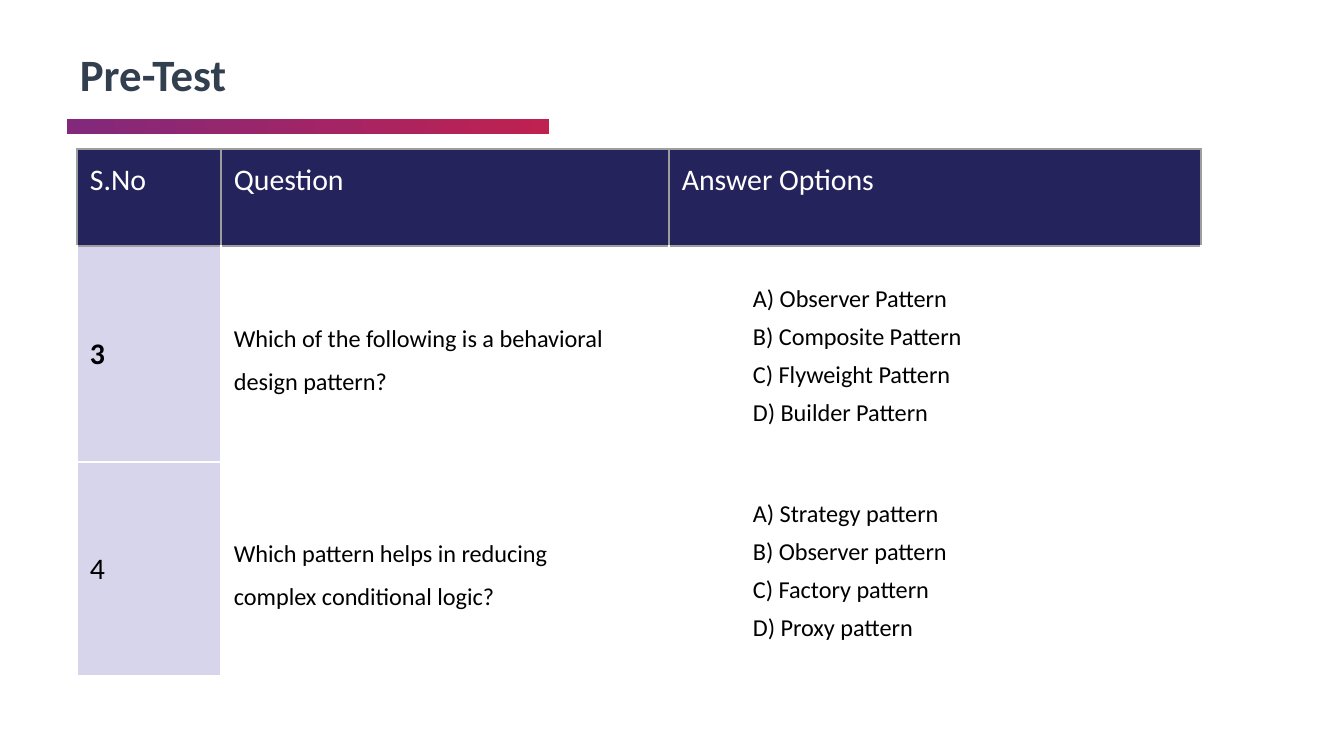
from lxml.etree import SubElement
from pptx import Presentation
from pptx.dml.color import RGBColor
from pptx.enum.shapes import MSO_SHAPE as Shape
from pptx.enum.text import MSO_ANCHOR as Anchor
from pptx.oxml.ns import qn
from pptx.util import Emu, Pt

# Content
TITLE = "Pre-Test"
HEADERS = ["S.No", "Question", "Answer Options"]
QUESTIONS = [
    ("3", "Which of the following is a behavioral design pattern?",
     ["A) Observer Pattern", "B) Composite Pattern", "C) Flyweight Pattern", "D) Builder Pattern"]),
    ("4", "Which pattern helps in reducing complex conditional logic?",
     ["A) Strategy pattern", "B) Observer pattern", "C) Factory pattern", "D) Proxy pattern"]),
]

# Layout in px
SLIDE = (1344, 756)
BAR = (67, 119, 482, 15)
TITLE_BOX = (67, 40, 441, 77)
TABLE_LEFT, TABLE_TOP = 77, 149
COLUMNS = [144, 448, 532]
ROWS = [97, 216, 214]
INSET, WIDE_INSET, OPTION_INDENT = 13, 40, 71

# Formats
WHITE, GREY, BLACK = "FFFFFF", "9E9E9E", "000000"
NAVY, LAVENDER = "25235B", "D6D5EB"
BAR_COLOURS = ["82297B", "BF2151"]
TITLE_FORMAT = {"size": 24, "colour": "323F4F", "bold": True, "line_spacing": 0.9}
HEADER_FORMAT = {"size": 16, "colour": WHITE}
NUMBER_FORMAT = {"size": 16, "colour": BLACK}
QUESTION_FORMAT = {"size": 13, "colour": BLACK, "line_spacing": 1.47}
OPTION_FORMAT = {"size": 13, "colour": BLACK, "line_spacing": 1.15,
                 "space_before": 2, "indent": OPTION_INDENT}


def px(value):
    return Emu(round(value * 914400 / 134.4))


def rgb(colour):
    return RGBColor.from_string(colour)


def set_margins(target, right=INSET):
    margins = {"left": INSET, "top": INSET, "right": right, "bottom": INSET}
    for side, value in margins.items():
        setattr(target, f"margin_{side}", px(value))


def write(frame, lines, size, colour, bold=False, line_spacing=None, space_before=0, indent=0):
    frame.word_wrap = True
    for index, line in enumerate(lines):
        paragraph = frame.add_paragraph() if index else frame.paragraphs[0]
        paragraph.line_spacing = line_spacing
        paragraph.space_before = Pt(space_before if index else 0)
        if indent:
            paragraph._p.get_or_add_pPr().set("marL", str(px(indent)))
        run = paragraph.add_run()
        run.text = line
        font = {"name": "Calibri", "size": Pt(size), "bold": bold}
        for name, value in font.items():
            setattr(run.font, name, value)
        run.font.color.rgb = rgb(colour)


def set_borders(cell, colours):
    properties = cell._tc.get_or_add_tcPr()
    for index, (side, colour) in enumerate(zip("LRTB", colours)):
        line = SubElement(properties, qn(f"a:ln{side}"), w=str(Pt(0.75)))
        fill = SubElement(line, qn("a:solidFill"))
        SubElement(fill, qn("a:srgbClr"), val=colour)
        properties.insert(index, line)


def fill_cell(cell, lines, text_format, fill=None, borders=(WHITE,) * 4,
              anchor=Anchor.MIDDLE, right=INSET):
    set_margins(cell, right)
    cell.vertical_anchor = anchor
    if fill:
        cell.fill.solid()
        cell.fill.fore_color.rgb = rgb(fill)
    else:
        cell.fill.background()
    set_borders(cell, borders)
    write(cell.text_frame, lines, **text_format)


presentation = Presentation()
presentation.slide_width, presentation.slide_height = map(px, SLIDE)
slide = presentation.slides.add_slide(presentation.slide_layouts[6])

# Gradient bar
bar = slide.shapes.add_shape(Shape.RECTANGLE, *map(px, BAR))
bar.shadow.inherit = False
bar.line.fill.background()
bar.fill.gradient()
bar.fill.gradient_angle = 0
for stop, colour in zip(bar.fill.gradient_stops, BAR_COLOURS):
    stop.color.rgb = rgb(colour)

# Title
title = slide.shapes.add_textbox(*map(px, TITLE_BOX)).text_frame
set_margins(title)
write(title, [TITLE], **TITLE_FORMAT)

# Table grid
table = slide.shapes.add_table(
    len(ROWS), len(COLUMNS), px(TABLE_LEFT), px(TABLE_TOP),
    px(sum(COLUMNS)), px(sum(ROWS))).table
table.first_row = table.horz_banding = False
for column, width in zip(table.columns, COLUMNS):
    column.width = px(width)
for row, height in zip(table.rows, ROWS):
    row.height = px(height)

# Header row
for index, header in enumerate(HEADERS):
    fill_cell(table.cell(0, index), [header], HEADER_FORMAT, NAVY, (GREY,) * 4, Anchor.TOP)

# Question rows
for row, (number, question, options) in enumerate(QUESTIONS, 1):
    borders = (WHITE, WHITE, GREY if row == 1 else WHITE, WHITE)
    number_format = {**NUMBER_FORMAT, "bold": row == 1}
    fill_cell(table.cell(row, 0), [number], number_format, LAVENDER, borders)
    fill_cell(table.cell(row, 1), [question], QUESTION_FORMAT, borders=borders, right=WIDE_INSET)
    fill_cell(table.cell(row, 2), options, OPTION_FORMAT, borders=borders, right=WIDE_INSET)

presentation.save("out.pptx")
